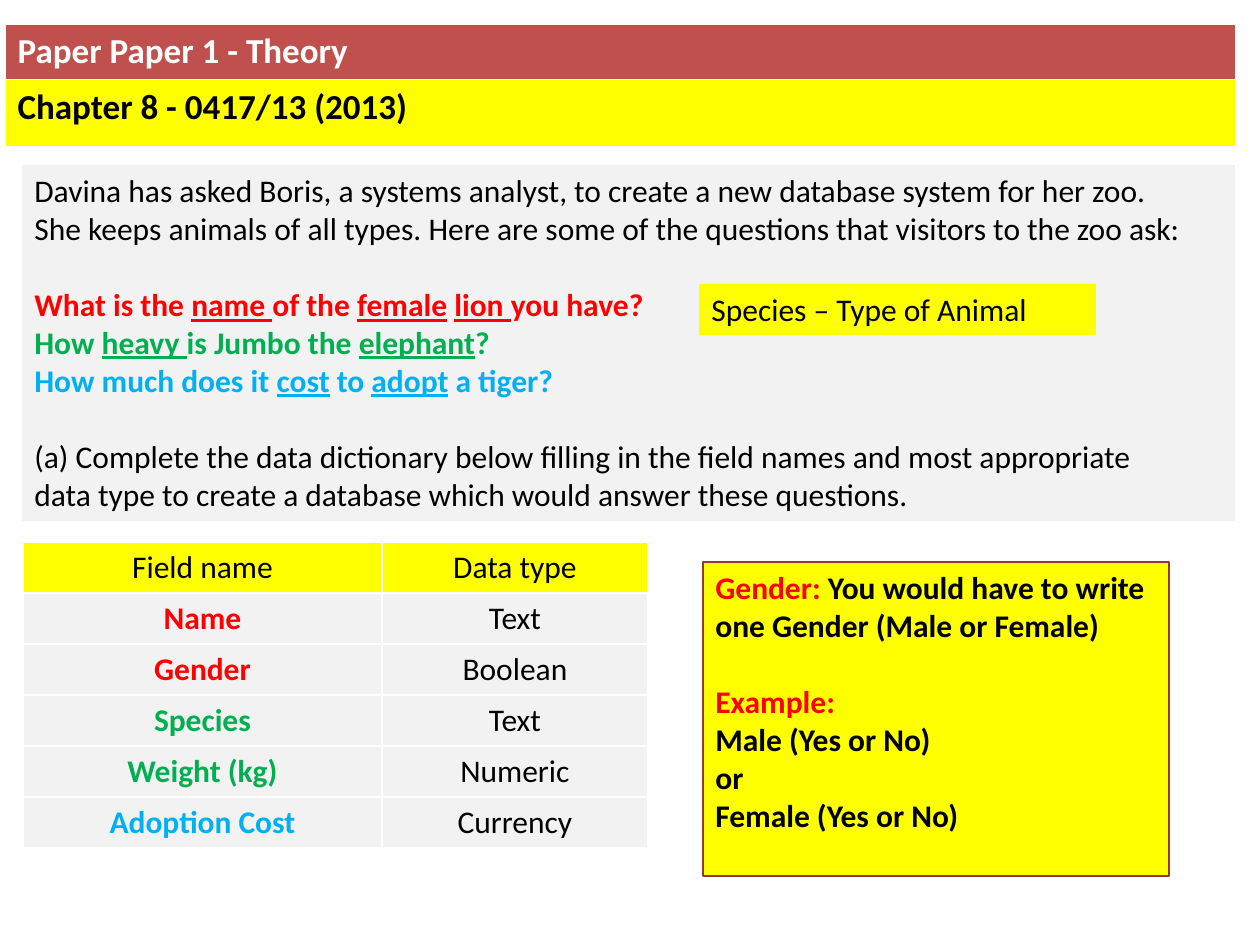
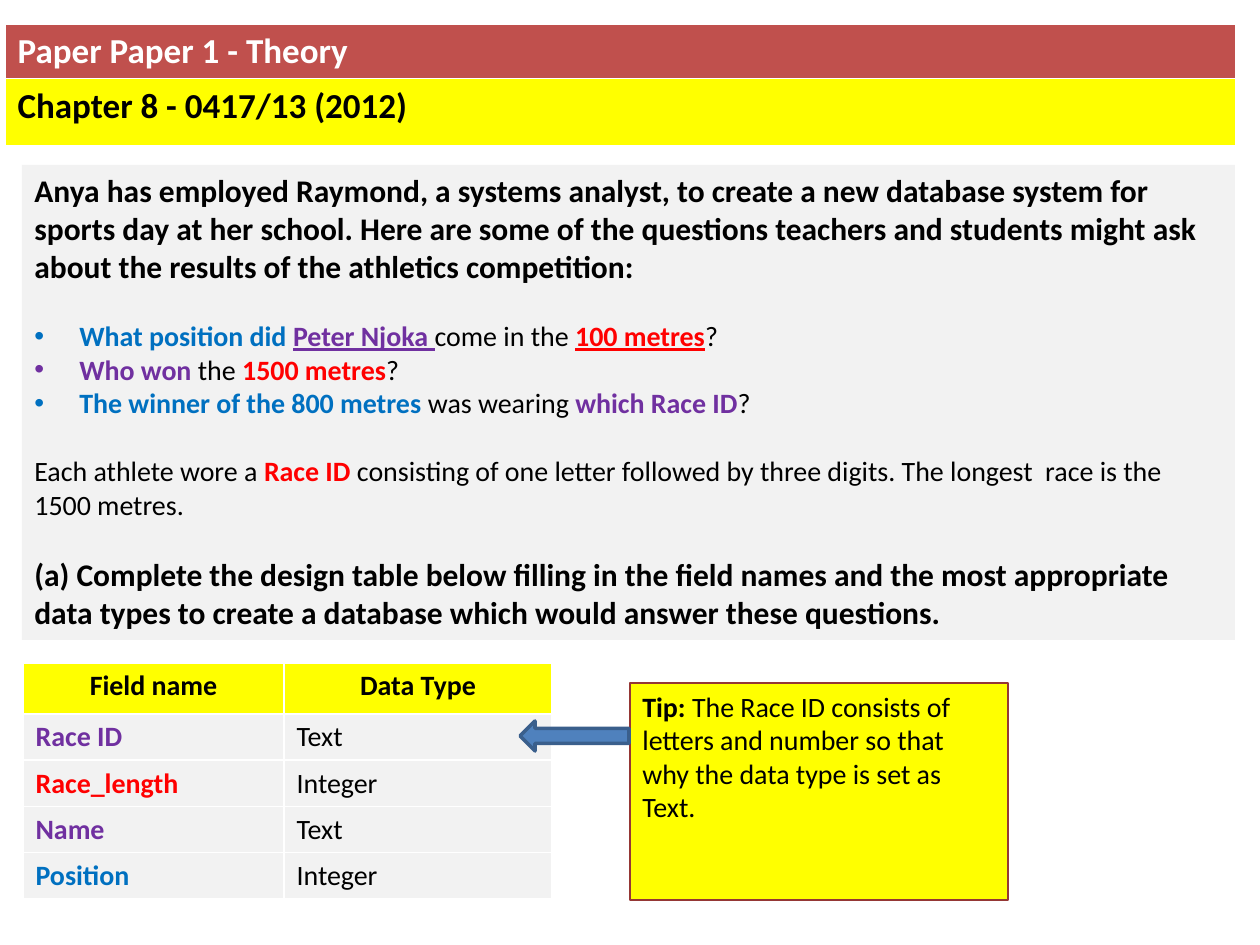
import pptx
import pptx.dml.color
import pptx.enum.shapes
import pptx.enum.text
import pptx.util
from lxml import etree
from pptx.oxml.ns import qn

EMU_PER_PX = 914400 / 126
FONT = "Calibri"
COLOURS = {
    "white": "FFFFFF", "black": "000000", "brick": "C0504D", "yellow": "FFFF00",
    "grey": "F2F2F2", "red": "FF0000", "green": "00B050", "sky": "00B0F0",
    "blue": "0070C0", "purple": "7030A0", "maroon": "953735",
    "steel": "4F81BD", "navy": "3A5F8C",
}
CENTRE = pptx.enum.text.PP_ALIGN.CENTER
LEFT = pptx.enum.text.PP_ALIGN.LEFT


def px(length):
    return pptx.util.Emu(round(length * EMU_PER_PX))


def colour(name):
    return pptx.dml.color.RGBColor.from_string(COLOURS[name])


def write(frame, paragraphs, align=LEFT):
    """Fill a frame with (size, space before, bulleted, spans) paragraphs.

    A span is (text, colour, style), where style holds b for bold, u for underline.
    """
    frame.word_wrap = True
    for number, (size, gap, bulleted, spans) in enumerate(paragraphs):
        para = frame.paragraphs[0] if number == 0 else frame.add_paragraph()
        para.alignment = align
        para.space_before = pptx.util.Pt(gap)
        if bulleted:
            properties = para._p.get_or_add_pPr()
            properties.set("marL", str(px(45)))
            properties.set("indent", str(-px(45)))
            etree.SubElement(properties, qn("a:buFont")).set("typeface", "Arial")
            etree.SubElement(properties, qn("a:buChar")).set("char", "•")
        for text, ink, style in spans:
            span = para.add_run()
            span.text = text
            span.font.name = FONT
            span.font.size = pptx.util.Pt(size)
            span.font.color.rgb = colour(ink)
            span.font.bold = "b" in style
            span.font.underline = "u" in style


def add_table(page, left, top, widths, heights, rows, size):
    """Add a table of (text, colour, style, fill, alignment) cells."""
    table = page.shapes.add_table(len(rows), len(widths), px(left), px(top),
                                  px(sum(widths)), px(sum(heights))).table
    for column, width in zip(table.columns, widths):
        column.width = px(width)
    for table_row, height, row in zip(table.rows, heights, rows):
        table_row.height = px(height)
        for cell, (text, ink, style, fill, align) in zip(table_row.cells, row):
            cell.fill.solid()
            cell.fill.fore_color.rgb = colour(fill)
            write(cell.text_frame, [(size, 0, False, [(text, ink, style)])], align)


zoo_question = [
    (18, 0, False, [("Davina has asked Boris, a systems analyst, to create a new database "
                     "system for her zoo.", "black", "")]),
    (18, 0, False, [("She keeps animals of all types. Here are some of the questions that "
                     "visitors to the zoo ask:", "black", "")]),
    (18, 22, False, [("What is the ", "red", "b"), ("name ", "red", "bu"),
                     ("of the ", "red", "b"), ("female", "red", "bu"), (" ", "red", "b"),
                     ("lion ", "red", "bu"), ("you have?", "red", "b")]),
    (18, 0, False, [("How ", "green", "b"), ("heavy ", "green", "bu"),
                    ("is Jumbo the ", "green", "b"), ("elephant", "green", "bu"),
                    ("?", "green", "b")]),
    (18, 0, False, [("How much does it ", "sky", "b"), ("cost", "sky", "bu"),
                    (" to ", "sky", "b"), ("adopt", "sky", "bu"), (" a tiger?", "sky", "b")]),
    (18, 22, False, [("(a) Complete the data dictionary below filling in the field names and "
                      "most appropriate", "black", "")]),
    (18, 0, False, [("data type to create a database which would answer these questions.",
                     "black", "")]),
]
species_note = [(18, 0, False, [("Species – Type of Animal", "black", "")])]
gender_note = [
    (18, 0, False, [("Gender: ", "red", "b"),
                    ("You would have to write one Gender (Male or Female)", "black", "b")]),
    (18, 22, False, [("Example:", "red", "b")]),
    (18, 0, False, [("Male (Yes or No)", "black", "b")]),
    (18, 0, False, [("or", "black", "b")]),
    (18, 0, False, [("Female (Yes or No)", "black", "b")]),
]
sports_question = [
    (18, 0, False, [("Anya has employed Raymond, a systems analyst, to create a new database "
                     "system for sports day at her school. Here are some of the questions "
                     "teachers and students might ask about the results of the athletics "
                     "competition:", "black", "b")]),
    (16, 19.5, True, [("What position did ", "blue", "b"), ("Peter Njoka ", "purple", "bu"),
                      ("come in the ", "black", ""), ("100 metres", "red", "bu"),
                      ("?", "black", "")]),
    (16, 0, True, [("Who won ", "purple", "b"), ("the ", "black", ""),
                   ("1500 metres", "red", "b"), ("?", "black", "")]),
    (16, 0, True, [("The winner of the 800 metres ", "blue", "b"),
                   ("was wearing ", "black", ""), ("which Race ID", "purple", "b"),
                   ("?", "black", "")]),
    (16, 19.5, False, [("Each athlete wore a ", "black", ""), ("Race ID ", "red", "b"),
                       ("consisting of one letter followed by three digits. The longest  race "
                        "is the 1500 metres.", "black", "")]),
    (18, 19.5, False, [("(a) Complete the design table below filling in the field names and "
                        "the most appropriate", "black", "b")]),
    (18, 0, False, [("data types to create a database which would answer these questions.",
                     "black", "b")]),
]
race_tip = [(16, 0, False, [("Tip: ", "black", "b"),
                            ("The Race ID consists of letters and number so that why the data "
                             "type is set as Text.", "black", "")])]

# Boxes are (left, top, width, height, fill, line, paragraphs).
slides = [
    {
        "year": 2013,
        "boxes": [(22, 165, 1213, 356, "grey", None, zoo_question),
                  (699, 284, 397, 51, "yellow", None, species_note),
                  (703, 562, 466, 314, "yellow", "maroon", gender_note)],
        "top": 542, "widths": [359, 266], "row_height": 51,
        "size": 18, "header_style": "", "align": CENTRE,
        "header": ["Field name", "Data type"],
        "fields": [("Name", "red", "Text"), ("Gender", "red", "Boolean"),
                   ("Species", "green", "Text"), ("Weight (kg)", "green", "Numeric"),
                   ("Adoption Cost", "sky", "Currency")],
    },
    {
        "year": 2012,
        "boxes": [(22, 165, 1213, 475, "grey", None, sports_question),
                  (630, 683, 378, 217, "yellow", "maroon", race_tip)],
        "top": 663, "widths": [261, 268], "row_height": 46,
        "size": 16, "header_style": "b", "align": LEFT,
        "header": ["Field name", "Data Type"],
        "fields": [("Race ID", "purple", "Text"), ("Race_length", "red", "Integer"),
                   ("Name", "purple", "Text"), ("Position", "blue", "Integer")],
    },
]

deck = pptx.Presentation()
deck.slide_width = px(1260)
deck.slide_height = px(945)

for content in slides:
    page = deck.slides.add_slide(deck.slide_layouts[6])
    bands = [[("Paper Paper 1 - Theory", "white", "b", "brick", LEFT)],
             [(f"Chapter 8 - 0417/13 ({content['year']})", "black", "b", "yellow", LEFT)]]
    add_table(page, 5, 24, [1231], [54, 67], bands, 20)

    for left, top, width, height, fill, line, paragraphs in content["boxes"]:
        box = page.shapes.add_textbox(px(left), px(top), px(width), px(height))
        box.fill.solid()
        box.fill.fore_color.rgb = colour(fill)
        if line:
            box.line.color.rgb = colour(line)
            box.line.width = pptx.util.Pt(0.75)
        write(box.text_frame, paragraphs)

    rows = [[(text, "black", content["header_style"], "yellow", CENTRE)
             for text in content["header"]]]
    for field, ink, data_type in content["fields"]:
        rows.append([(field, ink, "b", "grey", content["align"]),
                     (data_type, "black", "", "grey", content["align"])])
    heights = [51] + [content["row_height"]] * len(content["fields"])
    add_table(page, 23, content["top"], content["widths"], heights, rows, content["size"])

# The arrow leads from the tip to the Race ID row of the last slide.
arrow = page.shapes.add_shape(pptx.enum.shapes.MSO_SHAPE.LEFT_ARROW,
                              px(520), px(721), px(109), px(30))
arrow.shadow.inherit = False
arrow.fill.solid()
arrow.fill.fore_color.rgb = colour("steel")
arrow.line.color.rgb = colour("navy")
arrow.line.width = pptx.util.Pt(2)

deck.save("out.pptx")
